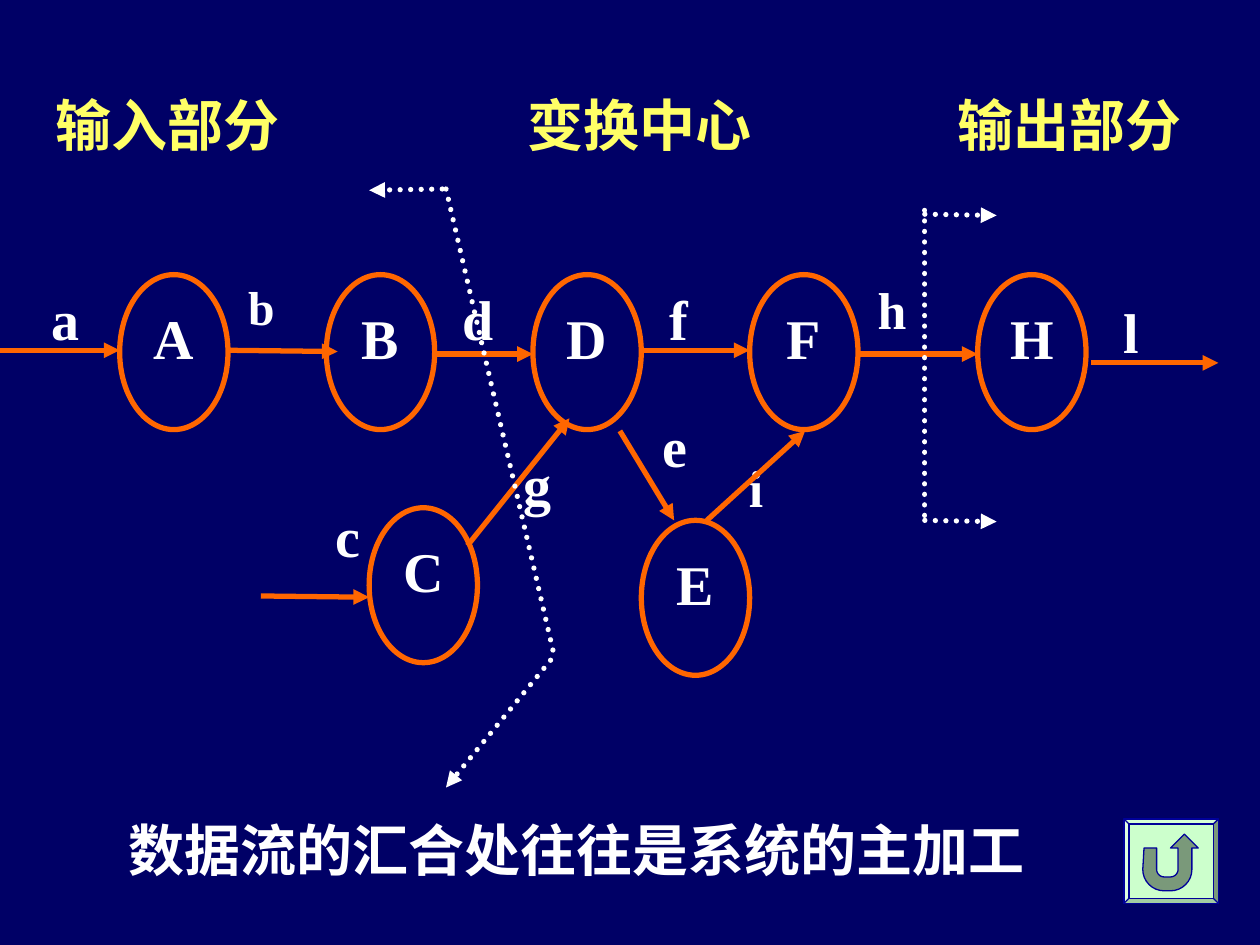
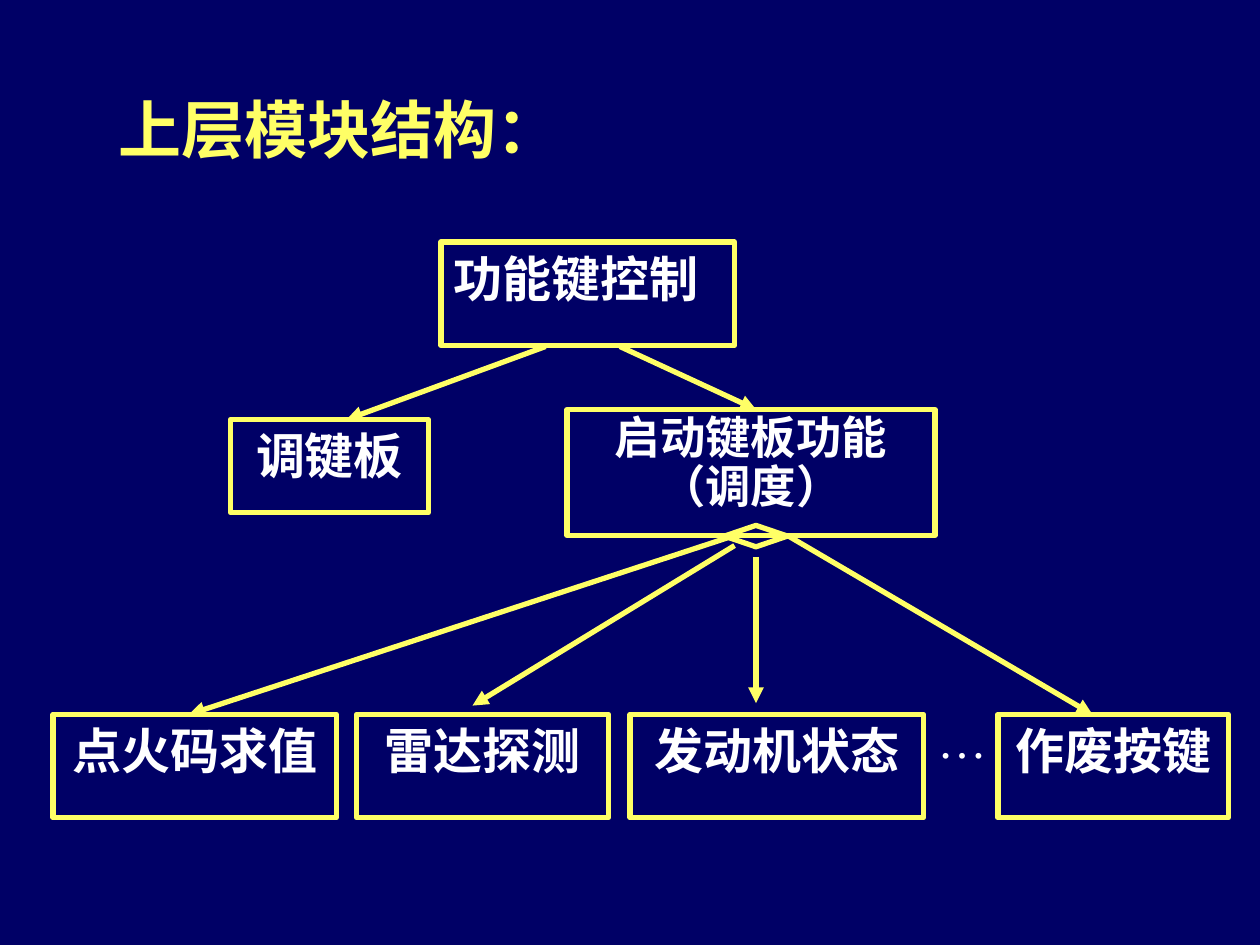
from math import cos, radians, sin

from lxml.etree import SubElement
from pptx import Presentation
from pptx.dml.color import RGBColor
from pptx.enum.dml import MSO_LINE
from pptx.enum.shapes import MSO_CONNECTOR, MSO_SHAPE
from pptx.enum.text import MSO_ANCHOR, PP_ALIGN
from pptx.oxml.ns import qn
from pptx.util import Inches, Pt

NAVY = RGBColor(0x00, 0x00, 0x66)
YELLOW = RGBColor(0xFF, 0xFF, 0x66)
WHITE = RGBColor(0xFF, 0xFF, 0xFF)
ORANGE = RGBColor(0xFF, 0x66, 0x00)
MINT = RGBColor(0xCC, 0xFF, 0xCC)
MOSS = RGBColor(0x7A, 0x99, 0x7A)
BLUE = RGBColor(0x00, 0x00, 0x99)

LATIN_FONT = "Times New Roman"
CHINESE_FONT = "Noto Sans CJK SC"
HEADING = {"color": YELLOW, "name": CHINESE_FONT}
BUBBLE_SIZE = (0.86, 1.23)
ROW_TOP = 2.18


def set_values(target, values):
    for name, value in values.items():
        setattr(target, name, value)


def write_text(shape, text, size=32, color=WHITE, name=LATIN_FONT, bold=True,
               align=PP_ALIGN.CENTER, spacing=1.0, wrap=True):
    set_values(shape.text_frame, {
        "word_wrap": wrap, "vertical_anchor": MSO_ANCHOR.TOP,
        "margin_left": Inches(0.1), "margin_right": Inches(0.1),
        "margin_top": Inches(0.05), "margin_bottom": Inches(0.05)})
    paragraph = shape.text_frame.paragraphs[0]
    set_values(paragraph, {"alignment": align, "line_spacing": spacing})
    run = paragraph.add_run()
    run.text = text
    set_values(run.font, {"size": Pt(size), "bold": bold, "name": name})
    run.font.color.rgb = color
    east_asian = SubElement(run.font._element, qn("a:ea"))
    east_asian.set("typeface", CHINESE_FONT)


def add_label(slide, text, left, top, width, height, **style):
    box = slide.shapes.add_textbox(*map(Inches, (left, top, width, height)))
    write_text(box, text, **style)


def paint(shape, line_color, line_width=3, fill_color=None):
    shape.shadow.inherit = False
    if fill_color is None:
        shape.fill.background()
    else:
        shape.fill.solid()
        shape.fill.fore_color.rgb = fill_color
    shape.line.color.rgb = line_color
    shape.line.width = Pt(line_width)


def add_outline(slide, kind, left, top, width, height, color):
    shape = slide.shapes.add_shape(kind, *map(Inches, (left, top, width, height)))
    paint(shape, color)
    return shape


def add_bubble(slide, letter, left, top):
    bubble = add_outline(slide, MSO_SHAPE.OVAL, left, top, *BUBBLE_SIZE, ORANGE)
    write_text(bubble, letter)


def add_module(slide, text, left, top, width, height=0.82, **style):
    module = add_outline(slide, MSO_SHAPE.RECTANGLE, left, top, width, height, YELLOW)
    write_text(module, text, **{"size": 28, **style})


def add_line(slide, start, end, color, arrow=True, dotted=False):
    connector = slide.shapes.add_connector(
        MSO_CONNECTOR.STRAIGHT, *map(Inches, (*start, *end)))
    connector.line.color.rgb = color
    connector.line.width = Pt(3)
    line = connector.line._get_or_add_ln()
    if dotted:
        connector.line.dash_style = MSO_LINE.ROUND_DOT
        line.set("cap", "rnd")
    if arrow:
        SubElement(line, qn("a:tailEnd")).set("type", "triangle")
    SubElement(connector._element.spPr, qn("a:effectLst"))


def arc(center_x, center_y, radius, start, end):
    steps = 8
    angles = [radians(start + (end - start) * step / steps) for step in range(steps + 1)]
    return [(center_x + radius * cos(angle), center_y + radius * sin(angle))
            for angle in angles]


def add_return_button(slide):
    button = slide.shapes.add_shape(
        MSO_SHAPE.BEVEL, *map(Inches, (8.92, 6.5, 0.75, 0.67)))
    button.adjustments[0] = 0.06
    paint(button, BLUE, 0.75, MINT)
    points = [(9.08, 6.73), (9.18, 6.73),
              *arc(9.24, 6.9, 0.06, 180, 90), *arc(9.29, 6.9, 0.06, 90, 0),
              (9.35, 6.73), (9.29, 6.73), (9.4, 6.62), (9.51, 6.73), (9.46, 6.73),
              *arc(9.29, 6.9, 0.17, 0, 90), *arc(9.24, 6.9, 0.17, 90, 180)]
    corners = [(Inches(x), Inches(y)) for x, y in points]
    builder = slide.shapes.build_freeform(*corners[0])
    builder.add_line_segments(corners[1:], close=True)
    paint(builder.convert_to_shape(), BLUE, 0.75, MOSS)


def add_slide(presentation):
    slide = presentation.slides.add_slide(presentation.slide_layouts[6])
    slide.background.fill.solid()
    slide.background.fill.fore_color.rgb = NAVY
    return slide


def build_data_flow(presentation):
    slide = add_slide(presentation)
    flow_labels = [
        ("l", 8.63, 2.31, 0.69), ("f", 5.09, 2.21, 0.6), ("e", 5.01, 3.22, 0.69),
        ("g", 3.97, 3.52, 0.6), ("c", 2.42, 3.93, 0.69), ("d", 3.45, 2.21, 0.69),
        ("a", 0.09, 2.21, 0.86)]
    for letter, left, top, width in flow_labels:
        add_label(slide, letter, left, top, width, 0.71)
    for letter, left, top, width, size in [
            ("h", 6.82, 2.21, 0.52, 29.6), ("i", 5.7, 3.62, 0.6, 29.6),
            ("b", 1.73, 2.21, 0.69, 27.2)]:
        add_label(slide, letter, left, top, width, 0.61, size=size, spacing=0.9)

    for letter, left in zip("ABDFH", (0.95, 2.59, 4.23, 5.95, 7.76)):
        add_bubble(slide, letter, left, ROW_TOP)
    add_bubble(slide, "C", 2.93, 4.03)
    add_bubble(slide, "E", 5.09, 4.13)

    flows = [
        ((0, 2.78), (0.95, 2.78)), ((1.81, 2.78), (2.68, 2.79)),
        ((3.45, 2.81), (4.23, 2.81)), ((2.07, 4.73), (2.93, 4.74)),
        ((3.71, 4.33), (4.52, 3.32)), ((4.92, 3.42), (5.35, 4.13)),
        ((5.61, 4.13), (6.39, 3.42)), ((5.09, 2.78), (5.95, 2.78)),
        ((6.81, 2.81), (7.76, 2.81)), ((8.66, 2.88), (9.67, 2.88))]
    for start, end in flows:
        add_line(slide, start, end, ORANGE)

    boundaries = [
        ((3.51, 1.5), (2.93, 1.51), True), ((3.54, 1.5), (4.4, 5.21), False),
        ((4.37, 5.24), (3.54, 6.25), True), ((7.34, 1.7), (7.91, 1.71), True),
        ((7.34, 1.67), (7.34, 4.15), False), ((7.34, 4.13), (7.91, 4.14), True)]
    for start, end, arrow in boundaries:
        add_line(slide, start, end, WHITE, arrow, dotted=True)

    for text, left in [("输入部分", 0.34), ("变换中心", 4.09), ("输出部分", 7.5)]:
        add_label(slide, text, left, 0.67, 1.98, 0.64, wrap=False, **HEADING)
    add_label(slide, "数据流的汇合处往往是系统的主加工", 0.92, 6.42, 7.75, 0.64,
              name=CHINESE_FONT, align=PP_ALIGN.LEFT)
    add_return_button(slide)


def build_module_structure(presentation):
    slide = add_slide(presentation)
    add_label(slide, "上层模块结构：", 0.83, 0.67, 3.72, 0.7, size=36, **HEADING)
    add_label(slide, "…", 7.17, 5.58, 0.93, 0.82, size=28, bold=False)

    add_module(slide, "功能键控制", 3.5, 1.92, 2.33, align=PP_ALIGN.JUSTIFY)
    add_module(slide, "调键板", 1.83, 3.33, 1.57, 0.74)
    add_module(slide, "启动键板功能（调度）", 4.5, 3.25, 2.92, 1, size=25.9, spacing=0.9)
    for text, left, width in [("点火码求值", 0.42, 2.25), ("雷达探测", 2.83, 2),
                              ("发动机状态", 5, 2.33), ("作废按键", 7.92, 1.83)]:
        add_module(slide, text, left, 5.67, width)

    calls = [
        ((4.33, 2.75), (2.75, 3.33)), ((4.92, 2.75), (6, 3.25)),
        ((5.83, 4.25), (1.5, 5.67)), ((5.83, 4.33), (3.75, 5.6)),
        ((6, 4.42), (6, 5.58)), ((6.25, 4.25), (8.67, 5.67))]
    for start, end in calls:
        add_line(slide, start, end, YELLOW)
    add_outline(slide, MSO_SHAPE.DIAMOND, 5.75, 4.17, 0.5, 0.17, YELLOW)


def main():
    presentation = Presentation()
    set_values(presentation, {"slide_width": Inches(10), "slide_height": Inches(7.5)})
    build_data_flow(presentation)
    build_module_structure(presentation)
    presentation.save("out.pptx")


if __name__ == "__main__":
    main()
